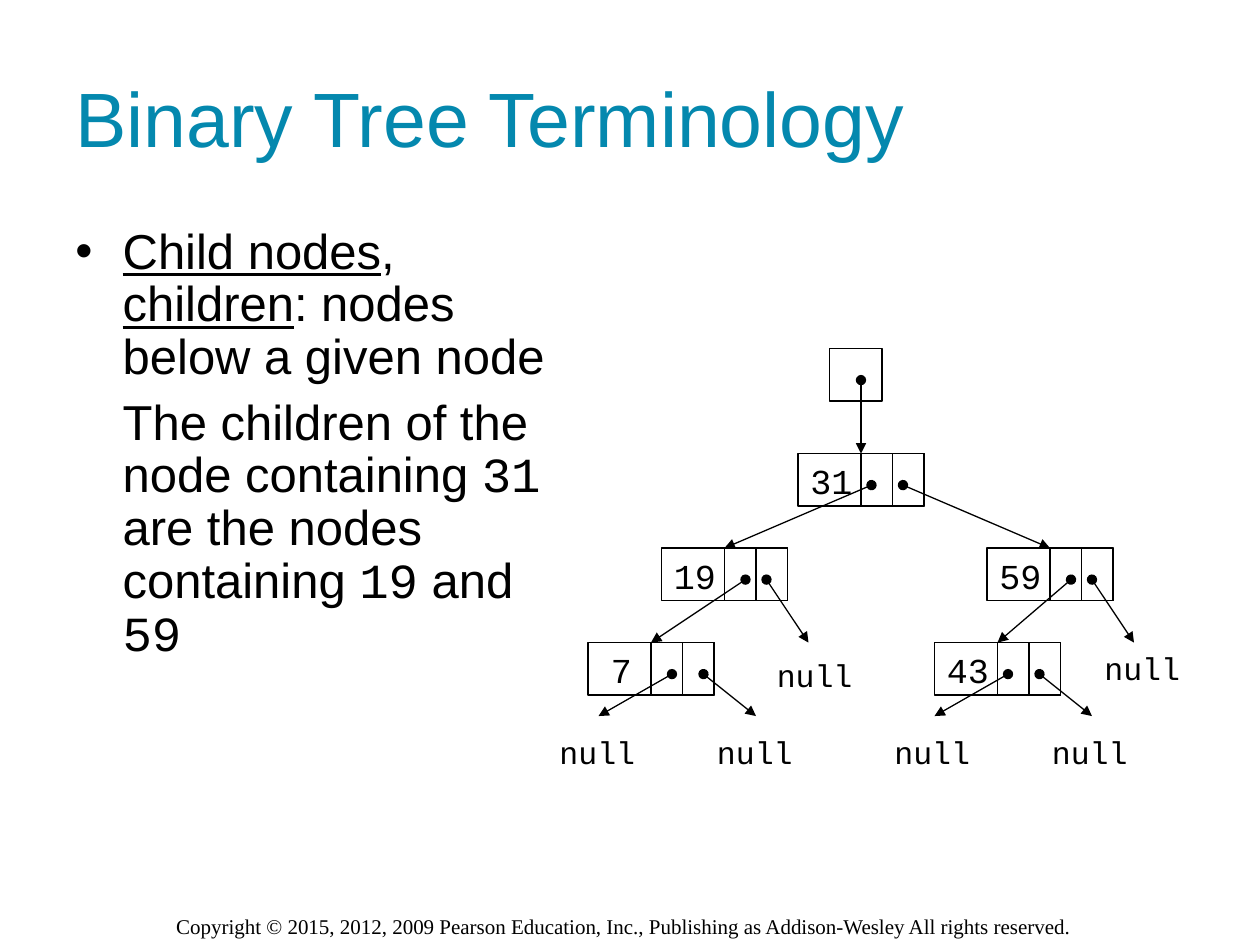
from dataclasses import dataclass

from lxml import etree
from pptx import Presentation
from pptx.dml.color import RGBColor
from pptx.enum.shapes import MSO_CONNECTOR, MSO_SHAPE
from pptx.enum.text import MSO_ANCHOR
from pptx.oxml.ns import qn
from pptx.util import Inches, Pt

RECT = MSO_SHAPE.RECTANGLE
LINE = MSO_CONNECTOR.STRAIGHT
TOP, MIDDLE = MSO_ANCHOR.TOP, MSO_ANCHOR.MIDDLE
CELL = 1 / 12  # inches; the slide is 120 columns by 90 rows


@dataclass(frozen=True)
class Theme:
    ink: RGBColor = RGBColor(0x00, 0x00, 0x00)
    teal: RGBColor = RGBColor(0x04, 0x88, 0xAE)
    sans: str = "Arial"
    mono: str = "Courier New"
    serif: str = "Times New Roman"
    title: int = 44
    body: int = 28
    key: int = 20
    null: int = 18
    foot: int = 12
    stroke: float = 0.75


def grid(*cells):
    return [Inches(n * CELL) for n in cells]


class Page:
    def __init__(self, slide, theme):
        self.shapes = slide.shapes
        self.theme = theme

    def style(self, font, size, face, color=None):
        font.size = Pt(size)
        font.name = face
        font.color.rgb = color or self.theme.ink

    def frame(self, box, wrap=True, anchor=TOP):
        frame = self.shapes.add_textbox(*grid(*box)).text_frame
        frame.word_wrap = wrap
        frame.vertical_anchor = anchor
        return frame

    def label(self, text, box, size, face, color=None, wrap=False, anchor=TOP):
        frame = self.frame(box, wrap, anchor)
        frame.text = text
        self.style(frame.paragraphs[0].runs[0].font, size, face, color)

    def prose(self, box, paras):
        """Each paragraph is a bullet mark and (text, kind) parts."""
        t = self.theme
        frame = self.frame(box)
        for i, (mark, parts) in enumerate(paras):
            para = frame.add_paragraph() if i else frame.paragraphs[0]
            para.line_spacing = 0.9
            if i:
                para.space_before = Pt(7)
            props = para._p.get_or_add_pPr()
            props.set("marL", str(Inches(0.375)))
            props.set("indent", str(Inches(-0.375 if mark else 0)))
            if mark:
                etree.SubElement(props, qn("a:buFont"), typeface=t.sans)
                etree.SubElement(props, qn("a:buChar"), char=mark)
            else:
                etree.SubElement(props, qn("a:buNone"))
            for text, kind in parts:
                run = para.add_run()
                run.text = text
                self.style(run.font, t.body, t.mono if kind == "code" else t.sans)
                run.font.underline = kind == "term"

    def rect(self, col, row, wide, high=5):
        box = self.shapes.add_shape(RECT, *grid(col, row, wide, high))
        box.shadow.inherit = False
        box.fill.background()
        box.line.color.rgb = self.theme.ink
        box.line.width = Pt(self.theme.stroke)

    def node(self, col, row):
        for shift, wide in ((0, 12), (6, 3), (9, 3)):
            self.rect(col + shift, row, wide)

    def arrow(self, start, end):
        link = self.shapes.add_connector(LINE, *grid(*start, *end))
        link.line.color.rgb = self.theme.ink
        link.line.width = Pt(self.theme.stroke)
        line = link.line._get_or_add_ln()
        etree.SubElement(line, qn("a:headEnd"), type="oval")
        etree.SubElement(line, qn("a:tailEnd"), type="triangle")
        etree.SubElement(link._element.spPr, qn("a:effectLst"))


BODY = [
    ("•", [("Child nodes", "term"), (", ", ""), ("children", "term"),
           (": nodes below a given node", "")]),
    ("", [("The children of the node containing ", ""), ("31", "code"),
          (" are the nodes containing ", ""), ("19", "code"),
          (" and ", ""), ("59", "code")]),
]

# Tree levels, nine rows apart
ROWS = [43.2, 52.2, 61.2]
LEAF = 68.2

# key: column, level, pointer dots, children (a key, or an arrow end for null)
TREE = {
    "31": (76, 0, (7, 10), ("19", "59")),
    "19": (63, 1, (8, 10), ("7", (77, ROWS[2]))),
    "59": (94, 1, (8, 10), ("43", (108, ROWS[2]))),
    "7": (56, 2, (8, 11), ((57, LEAF), (72, LEAF))),
    "43": (89, 2, (7, 10), ((89, LEAF), (104, LEAF))),
}
NULLS = [(72.8, 61.9), (104, 61.2)] + [(col, 69.2) for col in (52.1, 67.1, 84, 99)]


def main():
    deck = Presentation()
    deck.slide_width, deck.slide_height = grid(120, 90)
    theme = Theme()
    page = Page(deck.slides.add_slide(deck.slide_layouts[6]), theme)

    # Footer, title and body
    page.label("Copyright © 2015, 2012, 2009 Pearson Education, Inc., "
               "Publishing as Addison-Wesley All rights reserved.",
               (15.6, 86.4, 89, 3.6), theme.foot, theme.serif, wrap=True)
    page.label("Binary Tree Terminology", (6, 3.6, 108, 15), theme.title,
               theme.sans, theme.teal, wrap=True, anchor=MIDDLE)
    page.prose((6, 21, 50, 54), BODY)

    # Root pointer
    page.rect(79, 33.2, 5)
    page.arrow((82, 36.2), (82, ROWS[0]))

    # Nodes with their keys and arrows
    for key, (col, level, dots, kids) in TREE.items():
        row = ROWS[level]
        page.node(col, row)
        inset = 2 - len(key)
        page.label(key, (col + inset, row, 2.5 + 2 * len(key), 5.3),
                   theme.key, theme.mono)
        for dot, kid in zip(dots, kids):
            if kid in TREE:
                kid = (TREE[kid][0] + 6, ROWS[level + 1])
            page.arrow((col + dot, row + 3), kid)

    # Null leaves
    for col, row in NULLS:
        page.label("null", (col, row, 9.7, 4.8), theme.null, theme.mono)

    deck.save("out.pptx")


if __name__ == "__main__":
    main()
